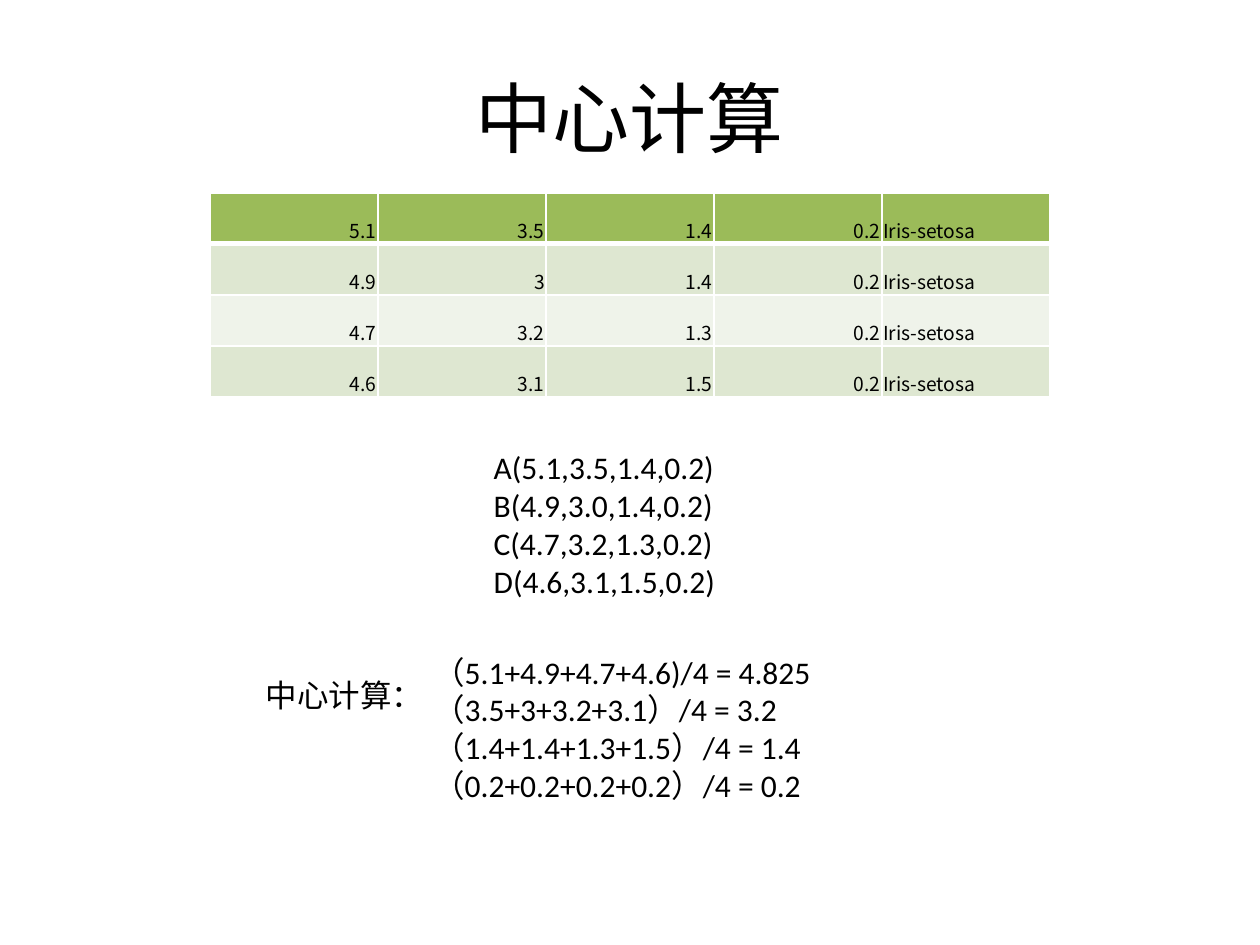
from lxml.etree import SubElement
from pptx import Presentation
from pptx.dml.color import RGBColor
from pptx.enum.text import MSO_ANCHOR as Anchor, PP_ALIGN as Align
from pptx.oxml.ns import qn
from pptx.util import Inches, Pt

BLACK = RGBColor(0x00, 0x00, 0x00)
WHITE = RGBColor(0xFF, 0xFF, 0xFF)
GREEN = RGBColor(0x9B, 0xBB, 0x59)
LIGHT_GREEN = RGBColor(0xDE, 0xE7, 0xD1)
PALE_GREEN = RGBColor(0xEF, 0xF3, 0xEA)

presentation = Presentation()
presentation.slide_width = Inches(10)
presentation.slide_height = Inches(7.5)
WIDTH, HEIGHT = presentation.slide_width, presentation.slide_height
slide = presentation.slides.add_slide(presentation.slide_layouts[6])


def add_text(lines, left, top, width, height, size=18, align=Align.LEFT, anchor=Anchor.TOP, wrap=True):
    box = slide.shapes.add_textbox(
        int(left * WIDTH), int(top * HEIGHT), int(width * WIDTH), int(height * HEIGHT))
    frame = box.text_frame
    frame.word_wrap = wrap
    frame.vertical_anchor = anchor
    frame.text = "\n".join(lines)
    for paragraph in frame.paragraphs:
        paragraph.alignment = align
        paragraph.font.name = "Calibri"
        paragraph.font.size = Pt(size)
        paragraph.font.color.rgb = BLACK


def add_border(cell, side, points):
    line = SubElement(cell._tc.get_or_add_tcPr(), qn(f"a:{side}"), w=str(Pt(points)))
    SubElement(SubElement(line, qn("a:solidFill")), qn("a:srgbClr"), val=str(WHITE))


add_text(["中心计算"], 0.05, 0.04, 0.9, 1 / 6, size=44, align=Align.CENTER, anchor=Anchor.MIDDLE)

samples = [
    ("5.1", "3.5", "1.4", "0.2", "Iris-setosa"),
    ("4.9", "3", "1.4", "0.2", "Iris-setosa"),
    ("4.7", "3.2", "1.3", "0.2", "Iris-setosa"),
    ("4.6", "3.1", "1.5", "0.2", "Iris-setosa"),
]
row_fills = [GREEN, LIGHT_GREEN, PALE_GREEN, LIGHT_GREEN]
table = slide.shapes.add_table(
    len(samples), len(samples[0]),
    WIDTH // 6, int(0.204 * HEIGHT), WIDTH * 2 // 3, int(0.216 * HEIGHT)).table
table.first_row = False
table.horz_banding = False

for row, (sample, fill) in enumerate(zip(samples, row_fills)):
    for column, value in enumerate(sample):
        cell = table.cell(row, column)
        cell.text = value
        cell.vertical_anchor = Anchor.BOTTOM
        cell.margin_left = cell.margin_top = cell.margin_right = Inches(0.01)
        cell.margin_bottom = 0
        borders = {"lnL": 1, "lnR": 1, "lnT": 3 if row == 1 else 1, "lnB": 3 if row == 0 else 1}
        for side, points in borders.items():
            add_border(cell, side, points)
        cell.fill.solid()
        cell.fill.fore_color.rgb = fill
        paragraph = cell.text_frame.paragraphs[0]
        paragraph.alignment = Align.LEFT if column == len(sample) - 1 else Align.RIGHT
        paragraph.font.name = "Noto Sans CJK SC"
        paragraph.font.size = Pt(11)
        paragraph.font.color.rgb = BLACK

points = ["A(5.1,3.5,1.4,0.2)", "B(4.9,3.0,1.4,0.2)", "C(4.7,3.2,1.3,0.2)", "D(4.6,3.1,1.5,0.2)"]
add_text(points, 0.382, 0.468, 0.203, 0.216, wrap=False)

add_text(["中心计算："], 0.201, 0.709, 0.146, 0.053, wrap=False)

means = [
    "（5.1+4.9+4.7+4.6)/4 = 4.825",
    "（3.5+3+3.2+3.1）/4 = 3.2",
    "（1.4+1.4+1.3+1.5）/4 = 1.4",
    "（0.2+0.2+0.2+0.2）/4 = 0.2",
]
add_text(means, 0.334, 0.684, 0.5, 0.175)

presentation.save("out.pptx")
